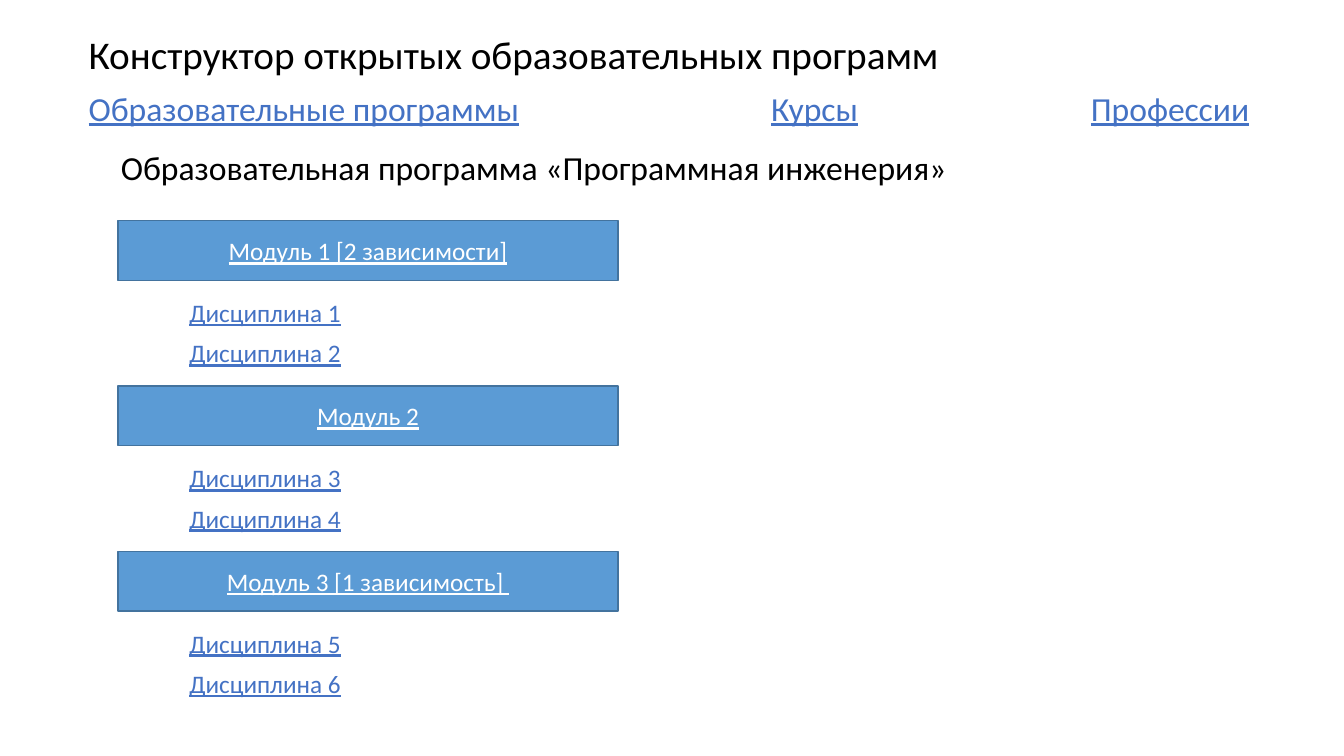
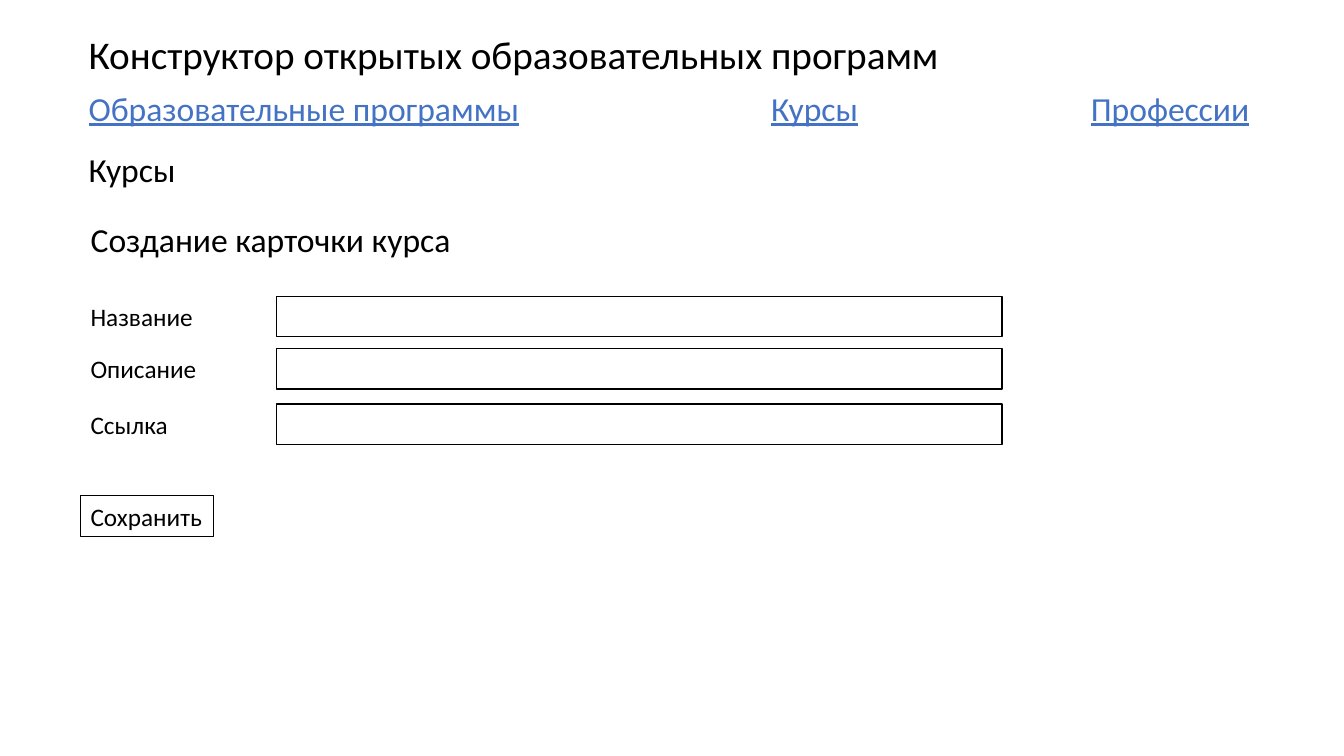
"""Builds two page mock-ups for a constructor of open study programmes."""
from dataclasses import dataclass
from pptx import Presentation
from pptx.dml.color import RGBColor
from pptx.enum.shapes import MSO_SHAPE
from pptx.enum.text import MSO_ANCHOR, PP_ALIGN
from pptx.util import Inches, Pt

RECT = MSO_SHAPE.RECTANGLE
MIDDLE = MSO_ANCHOR.MIDDLE
LEFT, CENTER = PP_ALIGN.LEFT, PP_ALIGN.CENTER


@dataclass(frozen=True)
class Theme:
    font: str = "Calibri"
    ink: str = "000000"
    link: str = "4472C4"
    white: str = "FFFFFF"
    bar: str = "5B9BD5"
    edge: str = "43739E"
    title: int = 28
    head: int = 24
    body: int = 18


theme = Theme()


def write(shape, text, size, color=theme.ink, under=False, align=LEFT):
    frame = shape.text_frame
    frame.text = text
    frame.word_wrap = False
    para = frame.paragraphs[0]
    para.alignment = align
    font = para.runs[0].font
    font.name = theme.font
    font.size = Pt(size)
    font.underline = under
    font.color.rgb = RGBColor.from_string(color)


def box(slide, place, line, width=1, fill=None):
    shape = slide.shapes.add_shape(RECT, *map(Inches, place))
    shape.shadow.inherit = False
    shape.line.color.rgb = RGBColor.from_string(line)
    shape.line.width = Pt(width)
    if fill:
        shape.fill.solid()
        shape.fill.fore_color.rgb = RGBColor.from_string(fill)
    else:
        shape.fill.background()
    return shape


deck = Presentation()
deck.slide_width, deck.slide_height = Inches(13.33), Inches(7.5)
blank = deck.slide_layouts[6]
plan, form = [deck.slides.add_slide(blank) for _ in range(2)]

labels = []
for slide in (plan, form):
    labels.append((slide, "Конструктор открытых образовательных программ",
                   (0.78, 0.25, 8.73, 0.57), theme.title, theme.ink))
    for text, left, width in (("Образовательные программы", 0.78, 4.51),
                              ("Курсы", 7.55, 1.07),
                              ("Профессии", 10.72, 1.79)):
        labels.append((slide, text, (left, 0.82, width, 0.5),
                       theme.head, theme.link))

labels.append((plan, "Образовательная программа «Программная инженерия»",
               (1.1, 1.41, 8.44, 0.5), theme.head, theme.ink))
modules = ("Модуль 1 [2 зависимости]", "Модуль 2",
           "Модуль 3 [1 зависимость] ")
for row, text in enumerate(modules):
    top = 2.19 + 1.64 * row
    bar = box(plan, (1.17, top, 4.96, 0.59), theme.edge, fill=theme.bar)
    write(bar, text, theme.body, theme.white, True, CENTER)
    bar.text_frame.vertical_anchor = MIDDLE
    for step in range(2):
        labels.append((plan, f"Дисциплина {2 * row + step + 1}",
                       (1.78, top + 0.71 + 0.4 * step, 1.72, 0.4),
                       theme.body, theme.link))

for text, place in (("Курсы", (0.78, 1.43, 1.07, 0.5)),
                    ("Создание карточки курса", (0.8, 2.12, 3.81, 0.5))):
    labels.append((form, text, place, theme.head, theme.ink))
for text, top, width in (("Название", 2.94, 1.23),
                         ("Описание", 3.46, 1.26),
                         ("Ссылка", 4.01, 0.97)):
    labels.append((form, text, (0.8, top, width, 0.4),
                   theme.body, theme.ink))
    box(form, (2.74, top, 7.2, 0.4), theme.ink)
save = box(form, (0.8, 4.92, 1.32, 0.4), theme.ink, 0.75)
write(save, "Сохранить", theme.body)

for slide, text, place, size, color in labels:
    label = slide.shapes.add_textbox(*map(Inches, place))
    write(label, text, size, color, color == theme.link)

deck.save("out.pptx")
